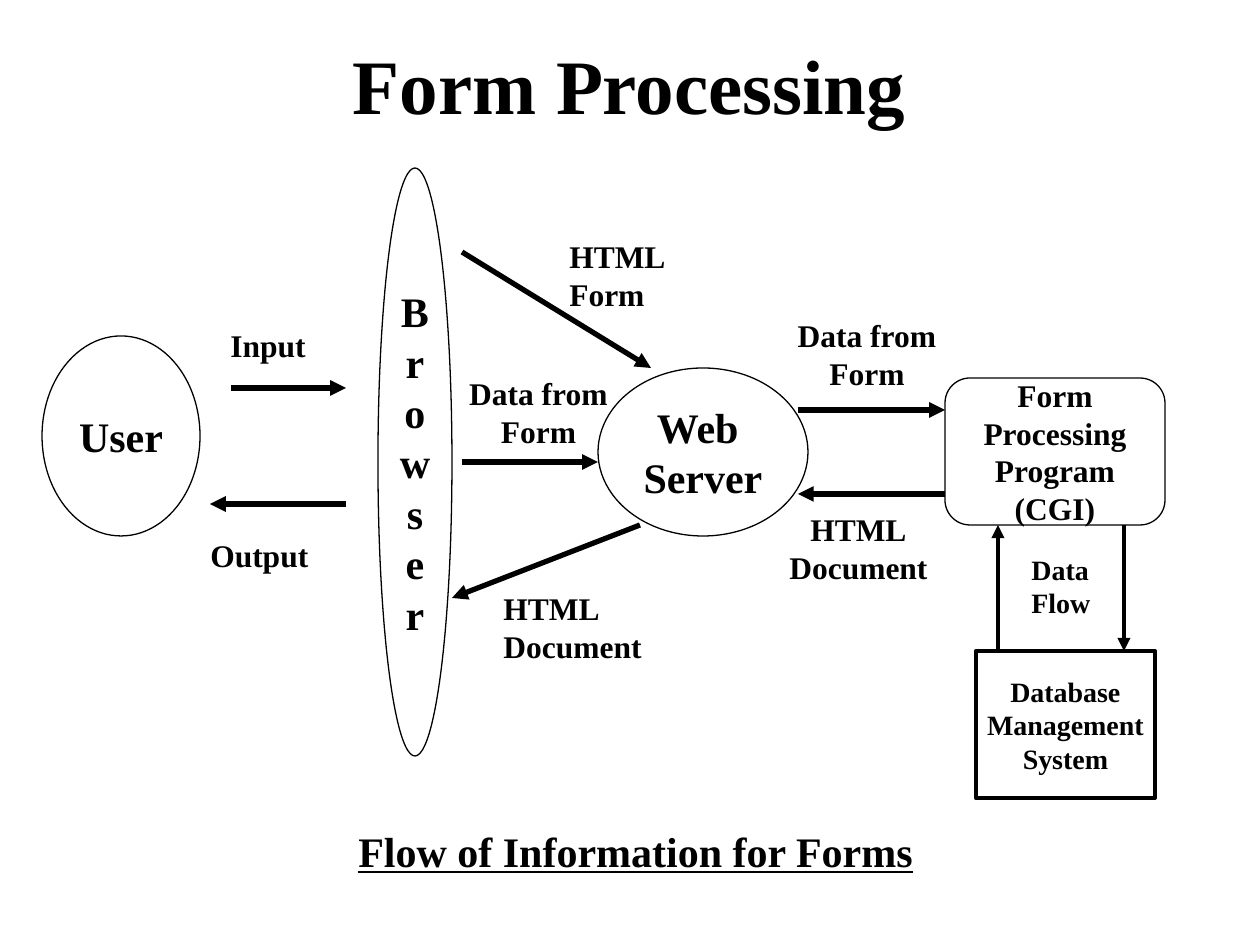
import pptx
import pptx.dml.color
import pptx.enum.shapes
import pptx.enum.text
import pptx.oxml
import pptx.oxml.ns
import pptx.util

SCALE = 914400 / 126
FONT = "Times New Roman"
COLORS = {"ink": "000000", "paper": "FFFFFF"}
SHAPE = pptx.enum.shapes.MSO_SHAPE
ALIGN = pptx.enum.text.PP_ALIGN
ANCHOR = pptx.enum.text.MSO_ANCHOR
FIT = pptx.enum.text.MSO_AUTO_SIZE


def px(*vals):
    """Turn px lengths into EMU."""
    return [pptx.util.Emu(round(val * SCALE)) for val in vals]


def tint(name):
    """Return a named colour."""
    return pptx.dml.color.RGBColor.from_string(COLORS[name])


def write(frame, text, size, align, line=False):
    """Fill a text frame with bold text, one paragraph a line."""
    frame.text = text
    frame.word_wrap = False
    for para in frame.paragraphs:
        para.alignment = align
        for run in para.runs:
            run.font.name = FONT
            run.font.size = pptx.util.Pt(size)
            run.font.bold = True
            run.font.underline = line
            run.font.color.rgb = tint("ink")


def label(slide, box, text, size=18, align=ALIGN.LEFT, line=False):
    """Add a text box that fits its text."""
    item = slide.shapes.add_textbox(*px(*box))
    write(item.text_frame, text, size, align, line)
    item.text_frame.auto_size = FIT.SHAPE_TO_FIT_TEXT
    return item


def node(slide, kind, box, text, size=24, width=0.75):
    """Add an outlined shape with centred text."""
    item = slide.shapes.add_shape(kind, *px(*box))
    item.shadow.inherit = False
    item.fill.solid()
    item.fill.fore_color.rgb = tint("paper")
    item.line.color.rgb = tint("ink")
    item.line.width = pptx.util.Pt(width)
    write(item.text_frame, text, size, ALIGN.CENTER)
    item.text_frame.vertical_anchor = ANCHOR.MIDDLE
    return item


def arrow(slide, x1, y1, x2, y2, width=3):
    """Add a straight arrow that points to its second end."""
    kind = pptx.enum.shapes.MSO_CONNECTOR.STRAIGHT
    item = slide.shapes.add_connector(kind, *px(x1, y1, x2, y2))
    item.line.color.rgb = tint("ink")
    item.line.width = pptx.util.Pt(width)
    tip = pptx.oxml.parse_xml(
        f'<a:tailEnd {pptx.oxml.ns.nsdecls("a")} type="triangle"/>')
    item.line._get_or_add_ln().append(tip)
    flat = pptx.oxml.parse_xml(f'<a:effectLst {pptx.oxml.ns.nsdecls("a")}/>')
    item._element.spPr.append(flat)


def title(slide, box):
    """Place the slide title."""
    item = slide.shapes.add_textbox(*px(*box))
    write(item.text_frame, "Form Processing", 44, ALIGN.CENTER)
    item.text_frame.word_wrap = True
    item.text_frame.vertical_anchor = ANCHOR.MIDDLE


def user(slide, box):
    """Place the user with the input and output flows."""
    x, y, w, h = box
    right = x + w
    node(slide, SHAPE.OVAL, (x, y, 158, h), "User")
    arrow(slide, x + 189, y + 52, right, y + 52)
    arrow(slide, right, y + 168, x + 168, y + 168)
    label(slide, (x + 156, y + 194, 123, 50), "Output")
    label(slide, (x + 176, y - 16, 101, 50), "Input")


def server(slide, box):
    """Place the web server with its flows to and from the browser."""
    x, y, w, h = box
    hub = x + w - 210
    node(slide, SHAPE.OVAL, (hub, y + 137, 210, 168), "Web \nServer")
    arrow(slide, x + 10, y + 21, x + 199, y + 137)
    arrow(slide, x + 10, y + 231, hub, y + 231)
    arrow(slide, x + 188, y + 294, x, y + 367)
    label(slide, (x + 39, y + h - 88, 163, 88), "HTML\nDocument")
    label(slide, (x - 1, y + 137, 175, 88), "Data from\nForm",
          align=ALIGN.CENTER)
    label(slide, (x + 105, y, 128, 88), "HTML\nForm")


def program(slide, box):
    """Place the form program with its flows to and from the server."""
    x, y, w, h = box
    edge = x + w - 220
    item = node(slide, SHAPE.ROUNDED_RECTANGLE, (edge, y + 68, 220, 147),
                "Form\nProcessing\nProgram\n(CGI)", 18)
    item.adjustments[0] = 0.17
    arrow(slide, x + 21, y + 100, edge, y + 100)
    arrow(slide, edge, y + 184, x + 21, y + 184)
    label(slide, (x + 8, y, 164, 88), "Data from\nForm", align=ALIGN.CENTER)
    label(slide, (x, y + h - 88, 163, 88), "HTML\nDocument",
          align=ALIGN.CENTER)


def store(slide, box):
    """Place the database with its flows to and from the program."""
    x, y, w, h = box
    top = y + 126
    node(slide, SHAPE.RECTANGLE, (x, top, w, h - 126),
         "Database\nManagement\nSystem", 16, 2.5)
    arrow(slide, x + 22, top, x + 22, y, 2.5)
    arrow(slide, x + 148, y, x + 148, top, 2.5)
    label(slide, (x + 43, y + 21, 84, 81), "Data\nFlow", 16)


def main():
    """Build and save the slide."""
    deck = pptx.Presentation()
    deck.slide_width, deck.slide_height = px(1260, 945)
    slide = deck.slides.add_slide(deck.slide_layouts[6])
    title(slide, (94, 42, 1071, 84))
    user(slide, (42, 336, 304, 200))
    node(slide, SHAPE.OVAL, (378, 168, 74, 588), "\n".join("Browser"))
    server(slide, (452, 231, 356, 440))
    program(slide, (777, 310, 388, 282))
    store(slide, (976, 525, 179, 273))
    label(slide, (346, 819, 580, 63), "Flow of Information for Forms", 24,
          line=True)
    deck.save("out.pptx")


if __name__ == "__main__":
    main()
